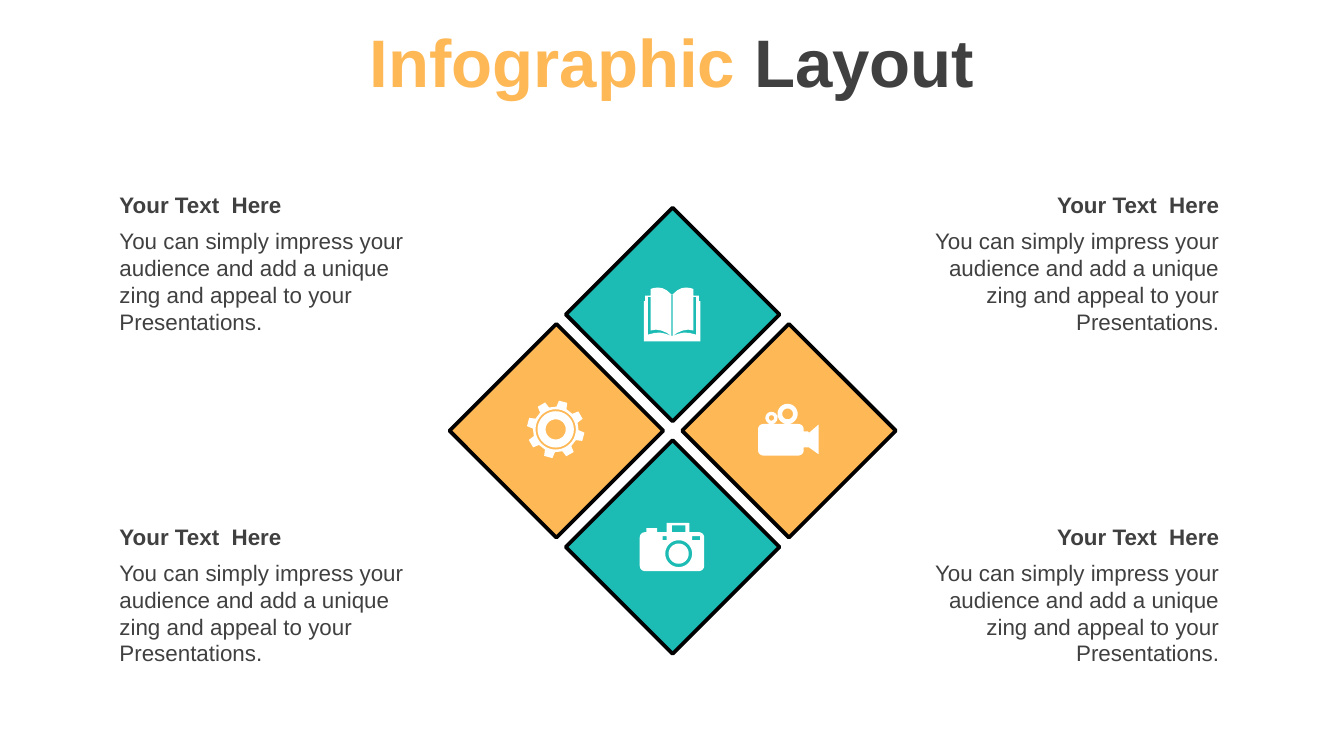
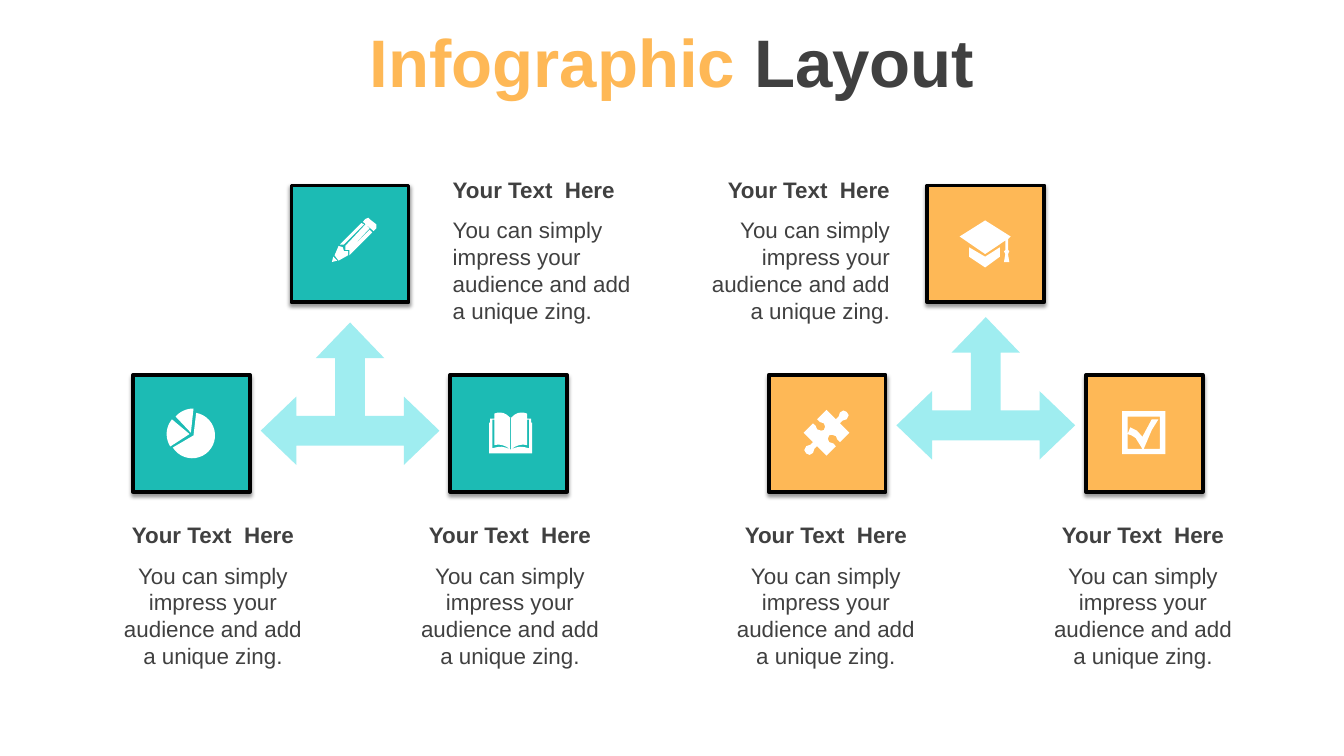
from math import cos, radians, sin

from lxml.etree import SubElement
from pptx import Presentation
from pptx.dml.color import RGBColor
from pptx.enum.shapes import MSO_SHAPE as SHAPE
from pptx.enum.text import MSO_ANCHOR, MSO_AUTO_SIZE, PP_ALIGN as ALIGN
from pptx.oxml.ns import qn
from pptx.util import Inches, Pt

TEAL = RGBColor(0x1C, 0xBB, 0xB4)
ORANGE = RGBColor(0xFE, 0xB8, 0x56)
AQUA = RGBColor(0x9F, 0xED, 0xF0)
DARK = RGBColor(0x40, 0x40, 0x40)
BLACK = RGBColor(0, 0, 0)
WHITE = RGBColor(0xFF, 0xFF, 0xFF)
FONT = "Arial"

# Content
TITLE = [("Infographic ", ORANGE), ("Layout", DARK)]
HEADING = "Your Text  Here"
LONG_TEXT = ("You can simply impress your audience and add a unique zing "
             "and appeal to your Presentations.")
SHORT_TEXT = "You can simply impress your audience and add a unique zing."

# Diamonds: column and row step from the centre, fill, icon, icon left and top
DIAMONDS = [
    (0, -1, TEAL, "book", 4.79, 2.14),
    (0, 1, TEAL, "photo", 4.76, 3.89),
    (1, 0, ORANGE, "film", 5.64, 3.01),
    (-1, 0, ORANGE, "gear", 3.92, 2.98),
]
DIAMOND_CAPTIONS = [(0.79, ALIGN.LEFT), (6.62, ALIGN.RIGHT)]
DIAMOND_CAPTION_TOPS = [1.37, 3.84]

# Clusters: left of the top square, arrow top, fill,
# icons (name, left, top, scale) of the top, left and right squares
CLUSTERS = [
    (2.17, 2.40, TEAL, [("pencil", 2.47, 1.62, 1), ("pie", 1.24, 3.04, 1),
                        ("book", 3.64, 3.07, 0.76)]),
    (6.90, 2.36, ORANGE, [("cap", 7.14, 1.64, 1), ("puzzle", 5.98, 3.05, 1),
                          ("check", 8.35, 3.06, 1)]),
]
CLUSTER_CAPTIONS = [
    (2.97, 3.83, ALIGN.CENTER), (0.76, 3.83, ALIGN.CENTER),
    (5.32, 3.83, ALIGN.CENTER), (7.68, 3.83, ALIGN.CENTER),
    (3.27, 1.26, ALIGN.LEFT), (5.07, 1.26, ALIGN.RIGHT),
]


# Icon outlines, in hundredths of an inch; inner contours cut holes
def arc(cx, cy, r, start, end, steps=24):
    angles = [radians(start + (end - start) * i / steps) for i in range(steps + 1)]
    return [(cx + r * cos(a), cy + r * sin(a)) for a in angles]


def circle(cx, cy, r):
    return arc(cx, cy, r, 0, 360, 40)


def box(left, top, right, bottom):
    return [(left, top), (right, top), (right, bottom), (left, bottom)]


def round_box(left, top, right, bottom, r):
    corners = [(right - r, bottom - r), (left + r, bottom - r),
               (left + r, top + r), (right - r, top + r)]
    return [pt for i, (x, y) in enumerate(corners)
            for pt in arc(x, y, r, 90 * i, 90 * i + 90, 6)]


def mirror(points):
    return [(42 - x, y) for x, y in points]


def book():
    half = [(0, 40), (0, 10), (1, 10), (1, 6), (5, 6), (5, 1), (8, 0.2),
            (11, 0), (14, 0.5), (17, 2), (20.5, 5)]
    page = [(3, 7), (5, 7), (5, 32), (9, 31.3), (13, 32), (17, 33.6),
            (20.5, 36), (16, 34.3), (12, 33.5), (8, 33.8), (3, 35)]
    return [half + mirror(half)[::-1], page, mirror(page),
            box(20.6, 5, 21.4, 36)]


def gear():
    c = 21.5
    teeth = []
    for a in range(-75, 285, 45):
        for r, turn in [(17, -13), (21.5, -8.5), (21.5, 8.5), (17, 13)]:
            teeth += arc(c, c, r, a + turn, a + turn, 1)[:1]
    return [teeth] + [circle(c, c, r) for r in (15, 13.5, 7.5)]


def puzzle():
    half = [(24, 7), (26, 5), (27, 2), (29.5, 0.5), (32, 1.5), (33.5, 4),
            (32, 7), (29, 8), (27, 10), (34, 17), (27, 24), (25, 22),
            (24, 19.5), (21, 18.5), (19, 19), (18, 21.5), (19, 24), (22, 25),
            (24, 27), (17, 34)]
    return [half + [(34 - x, 34 - y) for x, y in half]]


ICONS = {
    "book": book(),
    "gear": gear(),
    "puzzle": puzzle(),
    "film": [
        circle(22, 7, 7.5), circle(22, 7, 4),
        circle(10, 10, 4.5), circle(10, 10, 2),
        round_box(0, 14.5, 34, 38, 4),
        [(34, 20), (37, 20), (38, 21), (45, 15), (45, 37), (38, 32), (34, 32)],
    ],
    "photo": [
        round_box(0, 7, 48, 36, 4), box(5, 4, 13, 7), box(20, 0, 37, 7),
        box(24, 2, 34, 7), circle(29, 23, 10), circle(29, 23, 7.5),
        box(17, 10, 20, 13), box(39, 10, 45, 13),
    ],
    "pie": [
        arc(17, 19, 17, 147, 220) + [(17, 19)],
        arc(19, 20, 17, -80, 148) + [(20, 20)],
        arc(20, 18, 18, 222, 270) + [(18, 18)],
    ],
    "pencil": [
        [(1, 29), (4, 32), (0, 33)],
        [(5, 21), (8, 22), (9, 25), (12, 25), (12, 28), (5, 32), (2, 28)],
        [(28, 9), (30, 11), (13, 28), (13, 24)],
        [(25, 5), (28, 8), (13, 24), (10, 24), (10, 21)],
        [(22, 4), (24, 5), (9, 20), (6, 20)],
        [(27, 0), (28, 1), (33, 5), (33, 8), (31, 10), (23, 3), (25, 1)],
    ],
    "cap": [
        [(19, 0), (38, 12), (36, 14), (36, 22), (37, 23), (36, 25), (37, 31),
         (33, 31), (34, 25), (33, 23), (34, 22), (34, 15), (19, 25), (0, 12)],
        [(7, 20), (19, 27), (30, 20), (30, 27), (19, 35), (7, 27)],
    ],
    "check": [
        box(0, 0, 32, 32),
        [(4, 4), (4, 28), (15, 28), (10, 20), (7, 18), (4, 17), (6, 12),
         (11, 14.5), (15, 19), (22, 6), (27, 6), (22, 14), (16, 28), (28, 28),
         (28, 4)],
    ],
}


# Shared parts
def style_run(r, size, color, bold):
    r.font.name, r.font.size, r.font.bold = FONT, Pt(size), bold
    r.font.color.rgb = color


def add_slide(prs):
    s = prs.slides.add_slide(prs.slide_layouts[5])
    title = s.shapes.title
    title.left, title.top = Inches(0), Inches(0.03)
    title.width, title.height = prs.slide_width, Inches(0.85)
    tf = title.text_frame
    tf.vertical_anchor = MSO_ANCHOR.MIDDLE
    p = tf.paragraphs[0]
    p.alignment = ALIGN.CENTER
    for text, color in TITLE:
        r = p.add_run()
        r.text = text
        style_run(r, 36, color, True)
    return s


def add_filled(s, kind, left, top, width, height, fill):
    sp = s.shapes.add_shape(kind, Inches(left), Inches(top),
                            Inches(width), Inches(height))
    sp.shadow.inherit = False
    sp.fill.solid()
    sp.fill.fore_color.rgb = fill
    sp.line.fill.background()
    return sp


def add_tile(s, kind, left, top, size, fill):
    sp = add_filled(s, kind, left, top, size, size, fill)
    sp.line.color.rgb = BLACK
    sp.line.width = Pt(2)
    SubElement(sp.line._get_or_add_ln(), qn("a:round"))
    return sp


def add_drop_shadow(sp):
    effects = sp._element.spPr.find(qn("a:effectLst"))
    shadow = SubElement(effects, qn("a:outerShdw"), blurRad=str(Pt(2)),
                        dist=str(Pt(1.5)), dir="5400000", rotWithShape="0")
    color = SubElement(shadow, qn("a:srgbClr"), val=str(BLACK))
    SubElement(color, qn("a:alpha"), val="40000")


def add_icon(s, name, left, top, scale=1):
    contours = [[(Inches(left + x * scale / 100), Inches(top + y * scale / 100))
                 for x, y in points] for points in ICONS[name]]
    builder = s.shapes.build_freeform(*contours[0][0])
    for i, points in enumerate(contours):
        if i:
            builder.move_to(*points[0])
        builder.add_line_segments(points[1:], close=True)
    sp = builder.convert_to_shape()
    sp.shadow.inherit = False
    sp.fill.solid()
    sp.fill.fore_color.rgb = WHITE
    sp.line.fill.background()


def add_caption(s, left, top, width, gap, body, align):
    group = s.shapes.add_group_shape()
    for text, y, height, bold in [(body, top + gap, 0.91, False),
                                  (HEADING, top, 0.3, True)]:
        sp = group.shapes.add_textbox(Inches(left), Inches(y),
                                      Inches(width), Inches(height))
        tf = sp.text_frame
        tf.word_wrap = True
        tf.auto_size = MSO_AUTO_SIZE.SHAPE_TO_FIT_TEXT
        tf.text = text
        p = tf.paragraphs[0]
        p.alignment = align
        style_run(p.runs[0], 12, DARK, bold)


def build_diamonds(prs):
    s = add_slide(prs)
    size, left, top, pitch = 1.59, 4.21, 2.41, 1.73
    for col, row, fill, *_ in DIAMONDS:
        add_tile(s, SHAPE.DIAMOND, left + col * pitch / 2,
                 top + row * pitch / 2, size, fill)
    for *_, icon, x, y in DIAMONDS:
        add_icon(s, icon, x, y)
    for x, align in DIAMOND_CAPTIONS:
        for y in DIAMOND_CAPTION_TOPS:
            add_caption(s, x, y, 2.55, 0.27, LONG_TEXT, align)


def build_clusters(prs):
    s = add_slide(prs)
    size, reach, top_row, low_row = 0.87, 1.18, 1.38, 2.79
    arrow_width, arrow_height = 1.33, 1.06
    for left, arrow_top, fill, icons in CLUSTERS:
        squares = [(left, top_row), (left - reach, low_row), (left + reach, low_row)]
        for (x, y), icon in zip(squares, icons):
            add_drop_shadow(add_tile(s, SHAPE.RECTANGLE, x, y, size, fill))
            add_icon(s, *icon)
        arrow = add_filled(s, SHAPE.LEFT_RIGHT_UP_ARROW,
                           left + (size - arrow_width) / 2, arrow_top,
                           arrow_width, arrow_height, AQUA)
        for i, value in enumerate((0.21, 0.24, 0.25)):
            arrow.adjustments[i] = value
    for left, top, align in CLUSTER_CAPTIONS:
        add_caption(s, left, top, 1.65, 0.3, SHORT_TEXT, align)


def main():
    prs = Presentation()
    prs.slide_width = Inches(10)
    prs.slide_height = prs.slide_width * 9 // 16
    build_diamonds(prs)
    build_clusters(prs)
    prs.save("out.pptx")


if __name__ == "__main__":
    main()
